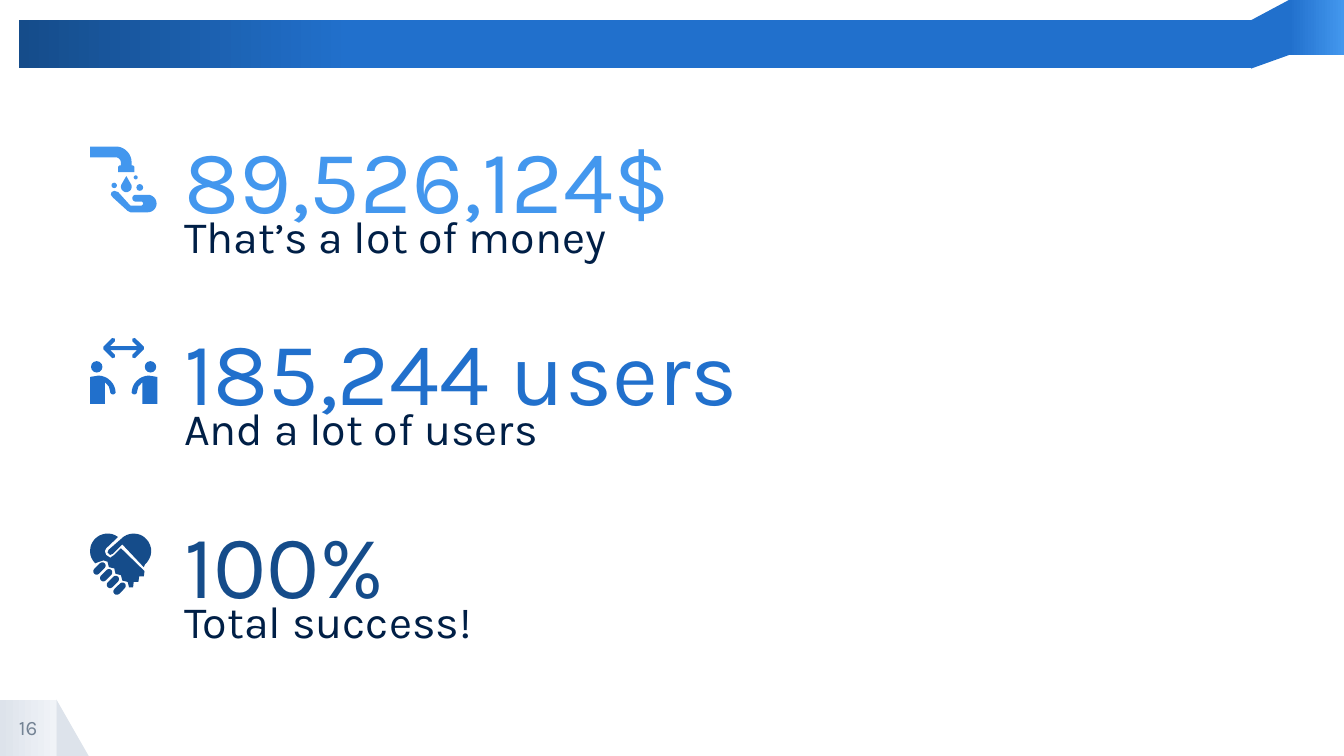
from math import cos, radians, sin

from pptx import Presentation
from pptx.dml.color import RGBColor
from pptx.enum.shapes import MSO_SHAPE
from pptx.enum.text import MSO_ANCHOR, MSO_AUTO_SIZE, PP_ALIGN
from pptx.util import Inches, Pt

SLIDE_WIDTH = 10
SLIDE_HEIGHT = SLIDE_WIDTH * 9 / 16
COLORS = {
    "sky": "4397EE",
    "blue": "2170CC",
    "navy": "154C8A",
    "ink": "001F46",
    "grey": "748394",
    "fold": "DDE3EB",
    "pale": "F0F3F7",
}
FONT = "Karla"


def rgb(name):
    return RGBColor.from_string(COLORS[name])


def write(shape, text, size, color, align=PP_ALIGN.LEFT, anchor=MSO_ANCHOR.TOP, spacing=1.0):
    frame = shape.text_frame
    frame.word_wrap = True
    frame.auto_size = MSO_AUTO_SIZE.NONE
    frame.vertical_anchor = anchor
    frame.margin_left = frame.margin_right = frame.margin_top = frame.margin_bottom = 0
    paragraph = frame.paragraphs[0]
    paragraph.alignment = align
    paragraph.line_spacing = spacing
    paragraph.space_before = Pt(0)
    run = paragraph.add_run()
    run.text = text
    run.font.name = FONT
    run.font.size = Pt(size)
    run.font.color.rgb = rgb(color)


def place(shape, left, top, width, height):
    shape.left, shape.top = Inches(left), Inches(top)
    shape.width, shape.height = Inches(width), Inches(height)


def paint(shape, color, end_color=None, end=1.0):
    """Fill flat, or left to right up to the share `end` of the width."""
    shape.shadow.inherit = False
    shape.line.fill.background()
    if end_color is None:
        shape.fill.solid()
        shape.fill.fore_color.rgb = rgb(color)
        return
    shape.fill.gradient()
    shape.fill.gradient_angle = 0
    for stop, name, position in zip(shape.fill.gradient_stops, (color, end_color), (0, end)):
        stop.color.rgb = rgb(name)
        stop.position = position


def add_preset(slide, kind, left, top, width, height, color, **gradient):
    shape = slide.shapes.add_shape(kind, Inches(left), Inches(top), Inches(width), Inches(height))
    paint(shape, color, **gradient)
    return shape


def add_outline(slide, left, top, points, color):
    """Closed outline; points are hundredths of an inch from left, top."""
    points = [(x * 10, y * 10) for x, y in points]
    builder = slide.shapes.build_freeform(*points[0], scale=Inches(1) / 1000)
    builder.add_line_segments(points[1:], close=True)
    paint(builder.convert_to_shape(Inches(left), Inches(top)), color)


def add_dot(slide, left, top, x, y, diameter, color):
    corner = left + (x - diameter / 2) / 100, top + (y - diameter / 2) / 100
    add_preset(slide, MSO_SHAPE.OVAL, *corner, diameter / 100, diameter / 100, color)


def arc(x, y, radius, start, stop, steps=16):
    angles = [radians(start + (stop - start) * i / steps) for i in range(steps + 1)]
    return [(x + radius * cos(a), y + radius * sin(a)) for a in angles]


def add_ribbon(slide, left, top, width):
    panel, fold = 0.41, 0.28
    panel_left = left + width - panel
    bar_width = width - panel - fold
    add_preset(slide, MSO_SHAPE.RECTANGLE, panel_left, top, panel, panel, "blue", end_color="sky")
    add_outline(slide, panel_left - fold, top, [(28, 0), (0, 15), (0, 51), (28, 41)], "blue")
    add_preset(slide, MSO_SHAPE.RECTANGLE, left, top + 0.15, bar_width, 0.36,
               "navy", end_color="blue", end=0.27)


def add_page_corner(slide, left, top, size, number):
    add_preset(slide, MSO_SHAPE.RIGHT_TRIANGLE, left + size, top, 0.24, size, "fold")
    add_preset(slide, MSO_SHAPE.RECTANGLE, left, top, size, size, "fold", end_color="pale")
    label = slide.shapes.add_textbox(Inches(left), Inches(top), Inches(size), Inches(size))
    write(label, number, 11, "grey", align=PP_ALIGN.CENTER, anchor=MSO_ANCHOR.MIDDLE)


def add_tap_icon(slide, left, top, color):
    tap = [(0, 0), *arc(19, 12, 12, -90, 0), (31, 14), (32, 14), (33, 15), (33, 19),
           (21, 19), (21, 15), (22, 14), (23, 14), *arc(19, 12, 4, 0, -90), (0, 8)]
    drop = [(27, 22), *arc(27, 30, 4, -20, 200)]
    hand = [*arc(43, 42.5, 6.5, -90, 90), (30, 49), (28, 48), (17, 38), (15.5, 36),
            (16, 34), (18, 33), (21, 34), (30, 44), *arc(38, 42.5, 1.5, 90, -90),
            *arc(34, 38.5, 2.5, 90, 270)]
    for points in (tap, drop, hand):
        add_outline(slide, left, top, points, color)
    for x, y, diameter in ((37, 30.5, 5), (34, 23, 3), (18, 29, 4)):
        add_dot(slide, left, top, x, y, diameter, color)


def add_meeting_icon(slide, left, top, color):
    def mirror(points):
        return [(50 - x, y) for x, y in points]

    arrow_half = [(25, 6), (15, 6), (18.5, 2.5), (18.5, 0.5), (16.5, 0), (10, 6.5), (10, 8.5),
                  (16.5, 15), (18.5, 14.5), (18.5, 12.5), (15, 9), (25, 9)]
    body = [(0, 29), *arc(6, 41, 13, -90, 0), *arc(17, 40, 2, 0, 180),
            (14, 36), (11, 33), (11, 49), (0, 49)]
    add_outline(slide, left, top, arrow_half + mirror(arrow_half[::-1]), color)
    for points, head in ((body, 5), (mirror(body), 45)):
        add_outline(slide, left, top, points, color)
        add_dot(slide, left, top, head, 21.5, 8.5, color)


def add_heart_icon(slide, left, top, color):
    left_hand = [(23, 11), (18, 16), (15, 18), (12, 16), (11, 13), (12, 11),
                 *arc(13, 13, 13, -53, -225), (7, 21), (10, 20), (13, 21), (14, 25),
                 (18, 26), (19, 30), (23, 31), (24, 35), (28, 36), (29, 40), (32, 40),
                 (32.5, 36), (36, 36), (36.5, 32), (40, 32), (40.5, 28)]
    right_hand = [*arc(32.5, 13, 13, 50, -137), (14, 12), (13, 14), (15, 16), (17, 15),
                  (24, 8), (40, 25)]
    for points in (left_hand, right_hand):
        add_outline(slide, left, top, points, color)
    # Four fingers stepping down along the diagonal
    length, thickness = 0.11, 0.05
    for i in range(4):
        x, y = left + 0.07 + 0.05 * i, top + 0.26 + 0.05 * i
        finger = add_preset(slide, MSO_SHAPE.ROUNDED_RECTANGLE, x - length / 2, y - thickness / 2,
                            length, thickness, color)
        finger.adjustments[0] = 0.5
        finger.rotation = -45


def add_statistic(slide, figure, caption, left, top, texts, color, add_icon, icon_top):
    place(figure, left + 0.7, top, 7.91, 0.98)
    write(figure, texts[0], 48, color, anchor=MSO_ANCHOR.MIDDLE, spacing=0.9)
    place(caption, left + 0.7, top + 0.67, 7.91, 0.51)
    write(caption, texts[1], 24, "ink")
    add_icon(slide, left, top + icon_top, color)


def main():
    prs = Presentation()
    prs.slide_width, prs.slide_height = Inches(SLIDE_WIDTH), Inches(SLIDE_HEIGHT)
    layout = prs.slide_layouts[0]
    slide = prs.slides.add_slide(layout)

    add_ribbon(slide, 0.14, 0, SLIDE_WIDTH - 0.14)
    add_page_corner(slide, 0, SLIDE_HEIGHT - 0.42, 0.42, "16")

    statistics = [
        (("89,526,124$", "That’s a lot of money"), "sky", add_tap_icon, 0.21),
        (("185,244 users", "And a lot of users"), "blue", add_meeting_icon, 0.2),
        (("100%", "Total success!"), "navy", add_heart_icon, 0.22),
    ]
    # The layout gives one title and subtitle; each further row needs its own
    for _ in statistics[1:]:
        for idx in (0, 1):
            slide.shapes.clone_placeholder(layout.placeholders[idx])
    figures, captions = (
        [p for p in slide.placeholders if p.placeholder_format.idx == idx] for idx in (0, 1)
    )
    first_top, last_top = 0.88, 3.75
    row_step = (last_top - first_top) / (len(statistics) - 1)
    for row, (figure, caption, statistic) in enumerate(zip(figures, captions, statistics)):
        add_statistic(slide, figure, caption, 0.67, first_top + row_step * row, *statistic)

    prs.save("out.pptx")


if __name__ == "__main__":
    main()
